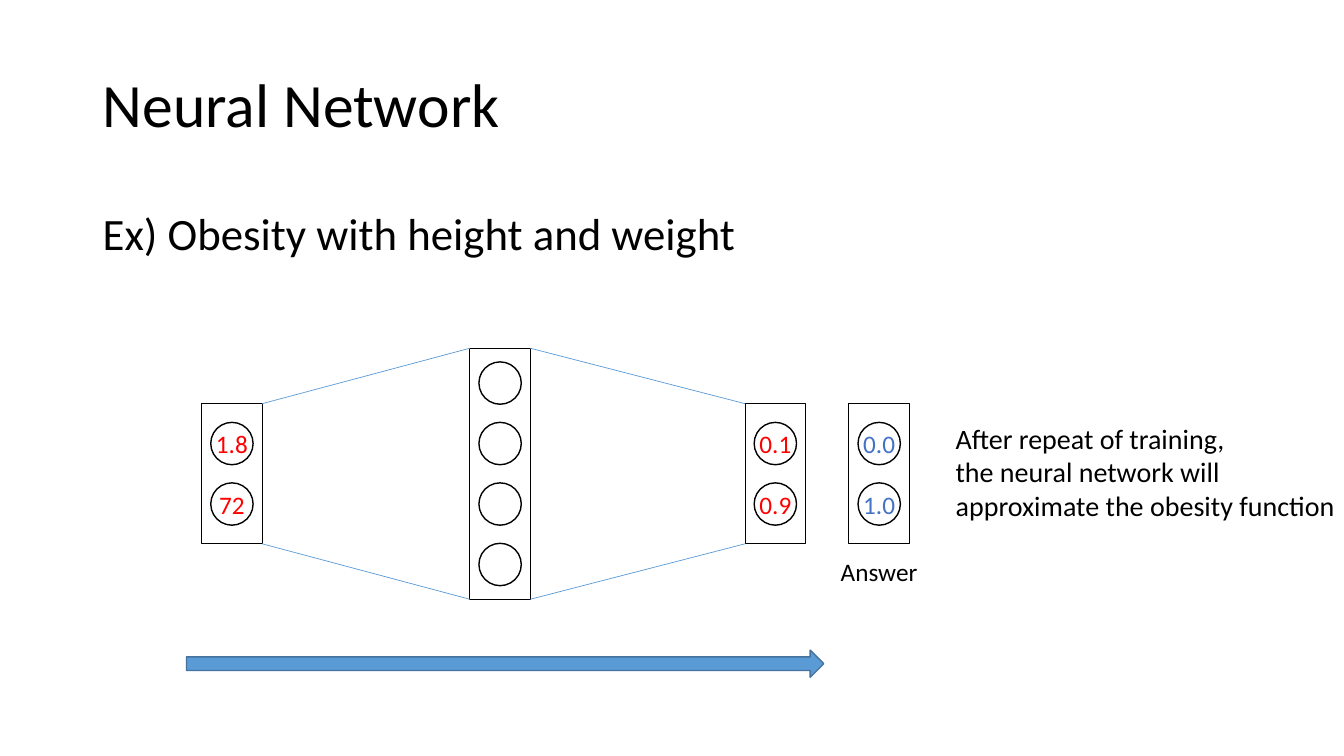
from lxml.etree import SubElement
from pptx import Presentation
from pptx.dml.color import RGBColor
from pptx.enum.shapes import MSO_CONNECTOR, MSO_SHAPE
from pptx.enum.text import MSO_ANCHOR, MSO_AUTO_SIZE, PP_ALIGN
from pptx.oxml.ns import qn
from pptx.util import Inches, Pt

BLACK = RGBColor(0x00, 0x00, 0x00)
WHITE = RGBColor(0xFF, 0xFF, 0xFF)
RED = RGBColor(0xFF, 0x00, 0x00)
ANSWER_BLUE = RGBColor(0x44, 0x72, 0xC4)
BLUE = RGBColor(0x5B, 0x9B, 0xD5)
DARK_BLUE = RGBColor(0x43, 0x73, 0x9E)

TITLE = "Neural Network"
# left, top, width, height, size, wrap, lines
TEXTS = [
    (0.92, 1.99, 11.5, 4.76, 32, True, ["Ex) Obesity with height and weight"]),
    (9.38, 4.13, 4, 1.11, 20, False,
     ["After repeat of training,", "the neural network will",
      "approximate the obesity function"]),
    (8.24, 5.47, 0.97, 0.4, 18, False, ["Answer"]),
]
# left, height, node values, value colour
LAYERS = [
    (2, 1.39, ["1.8", "72"], RED),
    (4.66, 2.49, [""] * 4, BLACK),
    (7.39, 1.39, ["0.1", "0.9"], RED),
]
ANSWER = (8.42, 1.39, ["0.0", "1.0"], ANSWER_BLUE)
LAYER_W, NODE, PITCH, MIDDLE = 0.6, 0.42, 0.6, 4.7


def write(tf, lines, size, color=BLACK, align=PP_ALIGN.LEFT, **frame):
    for name, value in frame.items():
        setattr(tf, name, value)
    for i, line in enumerate(lines):
        p = tf.paragraphs[0] if i == 0 else tf.add_paragraph()
        p.alignment = align
        r = p.add_run()
        r.text = line
        for name, value in {"name": "Calibri", "size": Pt(size)}.items():
            setattr(r.font, name, value)
        r.font.color.rgb = color


def add_shape(kind, x, y, w, h, fill, line, width):
    sp = s.shapes.add_shape(kind, Inches(x), Inches(y), Inches(w), Inches(h))
    sp.shadow.inherit = False
    if fill is None:
        sp.fill.background()
    else:
        sp.fill.solid()
        sp.fill.fore_color.rgb = fill
    sp.line.color.rgb = line
    sp.line.width = Pt(width)
    return sp


def add_layer(x, h, values, color):
    add_shape(MSO_SHAPE.RECTANGLE, x, MIDDLE - h / 2, LAYER_W, h, None, BLACK, 0.75)
    for i, value in enumerate(values):
        center = MIDDLE + (i - (len(values) - 1) / 2) * PITCH
        node = add_shape(MSO_SHAPE.OVAL, x + (LAYER_W - NODE) / 2, center - NODE / 2,
                         NODE, NODE, WHITE, BLACK, 1)
        if value:
            write(node.text_frame, [value], 18, color, PP_ALIGN.CENTER,
                  word_wrap=False, vertical_anchor=MSO_ANCHOR.MIDDLE,
                  margin_left=0, margin_right=0, margin_top=0, margin_bottom=0)


def add_line(x1, y1, x2, y2):
    c = s.shapes.add_connector(MSO_CONNECTOR.STRAIGHT, Inches(x1), Inches(y1),
                               Inches(x2), Inches(y2))
    c.line.color.rgb = BLUE
    c.line.width = Pt(0.5)
    SubElement(c._element.spPr, qn("a:effectLst"))


prs = Presentation()
prs.slide_width, prs.slide_height = Inches(13.33), Inches(7.5)
s = prs.slides.add_slide(prs.slide_layouts[5])

title = s.shapes.title
title.left, title.top = Inches(0.92), Inches(0.3)
title.width, title.height = Inches(11.5), Inches(1.45)
write(title.text_frame, [TITLE], 44, vertical_anchor=MSO_ANCHOR.MIDDLE,
      auto_size=MSO_AUTO_SIZE.NONE)

for x, y, w, h, size, wrap, lines in TEXTS:
    box = s.shapes.add_textbox(Inches(x), Inches(y), Inches(w), Inches(h))
    write(box.text_frame, lines, size, word_wrap=wrap)

for layer in LAYERS + [ANSWER]:
    add_layer(*layer)

for (x1, h1, *_), (x2, h2, *_) in zip(LAYERS, LAYERS[1:]):
    for side in (-0.5, 0.5):
        add_line(x1 + LAYER_W, MIDDLE + side * h1, x2, MIDDLE + side * h2)

add_shape(MSO_SHAPE.RIGHT_ARROW, 1.85, 6.45, 6.32, 0.27, BLUE, DARK_BLUE, 1)

prs.save("out.pptx")
